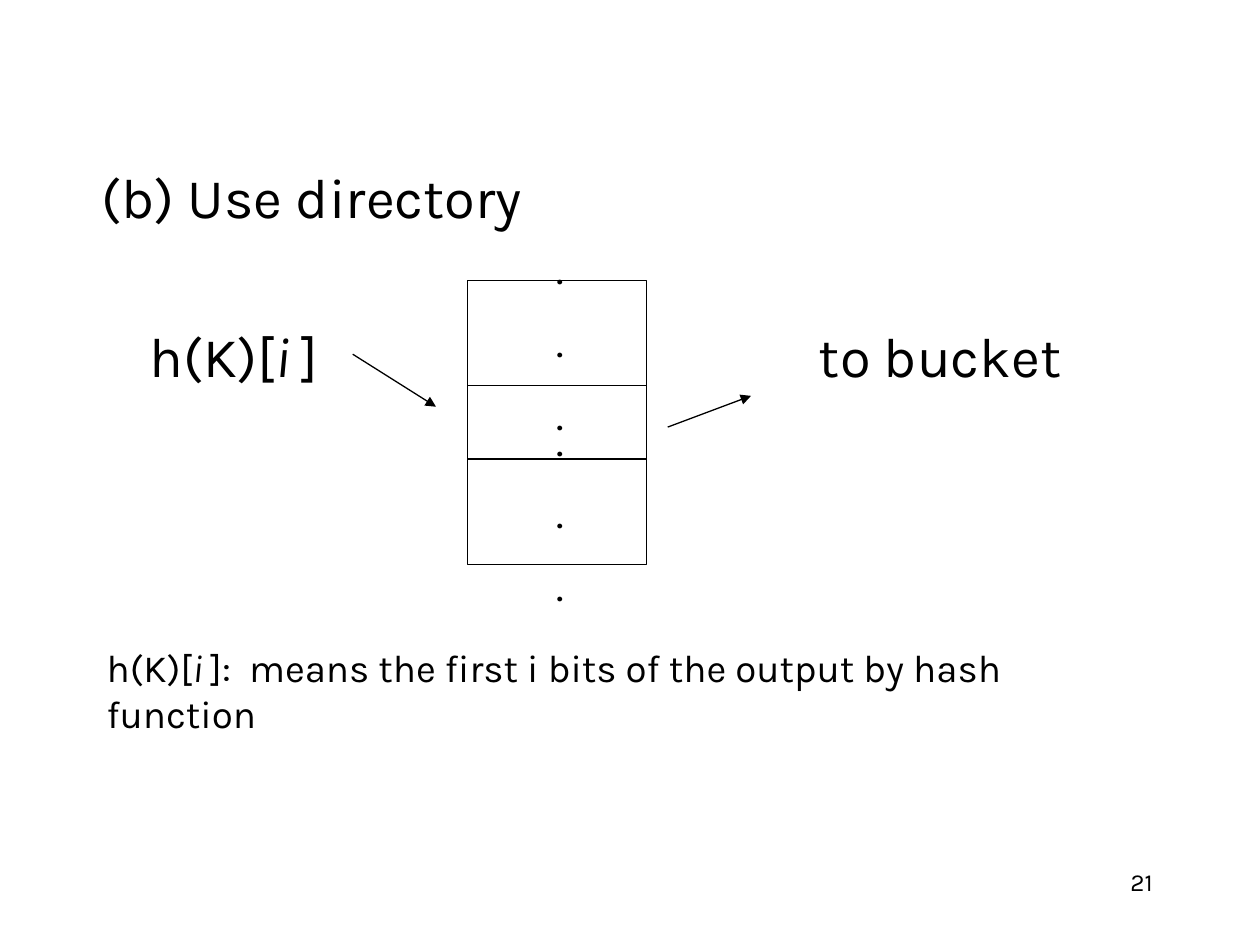
import pptx
import pptx.util
import pptx.dml.color
import pptx.enum.shapes
import pptx.enum.text
import pptx.oxml.ns
import lxml.etree

Cm = pptx.util.Cm
Pt = pptx.util.Pt
ALIGN = pptx.enum.text.PP_ALIGN
ANCHOR = pptx.enum.text.MSO_ANCHOR
qn = pptx.oxml.ns.qn

BLACK = pptx.dml.color.RGBColor(0x00, 0x00, 0x00)
WHITE = pptx.dml.color.RGBColor(0xFF, 0xFF, 0xFF)

presentation = pptx.Presentation()
presentation.slide_width = Cm(25.4)
presentation.slide_height = Cm(19.05)
slide = presentation.slides.add_slide(presentation.slide_layouts[6])


def add_text(box, paragraphs, size, align=ALIGN.LEFT, anchor=ANCHOR.TOP,
             gap=0, tabs=(), wrap=True):
    """Write paragraphs, each a list of (text, italic) runs, into a new box.

    box is left, top, width, height in cm; tabs are tab stops in cm;
    gap is the space in points between paragraphs.
    """
    frame = slide.shapes.add_textbox(*map(Cm, box)).text_frame
    frame.word_wrap = wrap
    frame.vertical_anchor = anchor
    for index, runs in enumerate(paragraphs):
        paragraph = frame.add_paragraph() if index else frame.paragraphs[0]
        if tabs:
            stops = lxml.etree.SubElement(
                paragraph._p.get_or_add_pPr(), qn("a:tabLst"))
            for stop in tabs:
                lxml.etree.SubElement(stops, qn("a:tab"),
                                      pos=str(Cm(stop)), algn="l")
        paragraph.alignment = align
        if index:
            paragraph.space_before = Pt(gap)
        for text, italic in runs:
            run = paragraph.add_run()
            run.text = text
            run.font.name = "Karla"
            run.font.size = Pt(size)
            run.font.italic = italic
            run.font.color.rgb = BLACK


def add_line(start, end, arrow=False):
    connector = slide.shapes.add_connector(
        pptx.enum.shapes.MSO_CONNECTOR.STRAIGHT, *map(Cm, start + end))
    connector.line.color.rgb = BLACK
    connector.line.width = Pt(0.75)
    if arrow:
        lxml.etree.SubElement(connector.line._get_or_add_ln(),
                              qn("a:tailEnd"), type="triangle")
    lxml.etree.SubElement(connector._element.spPr, qn("a:effectLst"))


# Page number
add_text((18.21, 17.35, 5.28, 1.27), [[("21", False)]], 14, align=ALIGN.RIGHT)

# Heading, then the hash key and its destination on one line
add_text(
    (1.8, 3.16, 21.59, 9.27),
    [
        [("(b) Use directory", False)],
        [("\th(K)[", False), ("i ", True), ("]\tto bucket", False)],
    ],
    32, gap=52.3, tabs=(0.97, 14.46))

# Directory table with its middle entry
left, top, width, height = 9.42, 5.66, 3.61, 5.72
directory = slide.shapes.add_shape(
    pptx.enum.shapes.MSO_SHAPE.RECTANGLE,
    Cm(left), Cm(top), Cm(width), Cm(height))
directory.shadow.inherit = False
directory.fill.solid()
directory.fill.fore_color.rgb = WHITE
directory.line.color.rgb = BLACK
directory.line.width = Pt(0.75)
for entry_edge in (7.77, 9.25):
    add_line((left, entry_edge), (left + width, entry_edge))

# Lookup arrows into and out of the directory
add_line((7.11, 7.14), (8.79, 8.2), arrow=True)
add_line((13.46, 8.61), (15.14, 7.98), arrow=True)

# Dots for the omitted entries above and below
for dots_top in (4.8, 8.26):
    add_text((10.92, dots_top, 0.76, 4.13), [[(".", False)]] * 3, 24,
             align=ALIGN.CENTER, anchor=ANCHOR.MIDDLE, gap=12.8, wrap=False)

# Explanation of the notation
add_text(
    (1.9, 12.32, 21.59, 3.18),
    [[
        ("h(K)[", False),
        ("i ", True),
        ("]:  means the first i bits of the output by hash function", False),
    ]],
    22, anchor=ANCHOR.MIDDLE)

presentation.save("out.pptx")
